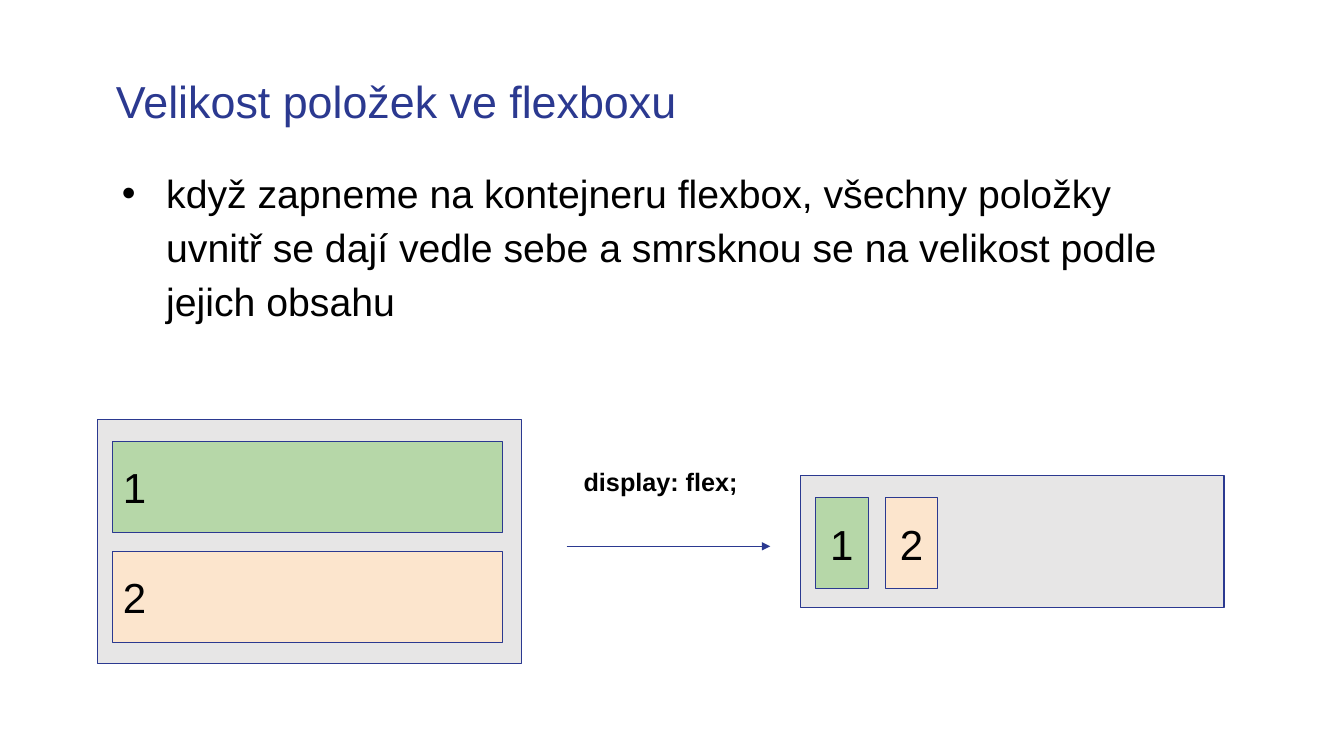
from pptx import Presentation, util as u
from pptx.dml.color import RGBColor
from pptx.enum import shapes, text
from pptx.oxml.ns import qn
from lxml import etree

NAVY = RGBColor(0x2B, 0x39, 0x90)
BLACK = RGBColor(0, 0, 0)
GREY = RGBColor(0xE7, 0xE6, 0xE6)
GREEN = RGBColor(0xB6, 0xD7, 0xA8)
PEACH = RGBColor(0xFC, 0xE5, 0xCD)
ITEMS = (("1", GREEN), ("2", PEACH))
ITEM_HEIGHT = 0.9
ITEM_INSET = (0.15, 0.22)


def write(holder, words, size, color=BLACK, bold=False,
          align=text.PP_ALIGN.LEFT, anchor=text.MSO_ANCHOR.TOP):
    frame = holder.text_frame
    frame.word_wrap = True
    frame.auto_size = text.MSO_AUTO_SIZE.NONE
    frame.vertical_anchor = anchor
    frame.margin_left = frame.margin_right = u.Inches(0.1)
    frame.margin_top = frame.margin_bottom = u.Inches(0.1)
    paragraph = frame.paragraphs[0]
    paragraph.text = words
    paragraph.alignment = align
    font = paragraph.font
    font.name, font.size, font.bold = "Arial", u.Pt(size), bold
    font.color.rgb = color
    return paragraph


def add_box(slide, left, top, width, height, fill):
    box = slide.shapes.add_shape(
        shapes.MSO_SHAPE.FLOWCHART_PROCESS,
        *map(u.Inches, (left, top, width, height)))
    box.shadow.inherit = False
    box.fill.solid()
    box.fill.fore_color.rgb = fill
    box.line.color.rgb = NAVY
    box.line.width = u.Pt(0.75)
    return box


def add_heading(slide, left, top, width, height):
    title = slide.shapes.title
    title.left, title.top = u.Inches(left), u.Inches(top)
    title.width, title.height = u.Inches(width), u.Inches(height)
    heading = write(title, "Velikost položek ve flexboxu", 32, NAVY,
                    anchor=text.MSO_ANCHOR.MIDDLE)
    heading.line_spacing = 0.9


def add_explanation(slide, left, top, width, height):
    body = slide.shapes.add_textbox(*map(u.Inches, (left, top, width, height)))
    point = body.text_frame.paragraphs[0]
    # Hanging bullet
    properties = point._p.get_or_add_pPr()
    properties.set("marL", str(u.Inches(0.5)))
    properties.set("indent", str(u.Inches(-0.44)))
    etree.SubElement(properties, qn("a:buFont")).set("typeface", "Arial")
    etree.SubElement(properties, qn("a:buChar")).set("char", "•")
    write(body, "když zapneme na kontejneru flexbox, všechny položky uvnitř "
          "se dají vedle sebe a smrsknou se na velikost podle jejich obsahu", 28)
    point.line_spacing = 1.15


def add_container(slide, left, top, width, height, item_width, step, align):
    """Draw a container whose items follow one another by step (x, y)."""
    add_box(slide, left, top, width, height, GREY)
    for index, (label, fill) in enumerate(ITEMS):
        item = add_box(slide,
                       left + ITEM_INSET[0] + index * step[0],
                       top + ITEM_INSET[1] + index * step[1],
                       item_width, ITEM_HEIGHT, fill)
        write(item, label, 30, align=align, anchor=text.MSO_ANCHOR.MIDDLE)


def add_transition(slide, left, top, width, height):
    # Arrow along the bottom of the region
    arrow_y = u.Inches(top + height)
    arrow = slide.shapes.add_connector(
        shapes.MSO_CONNECTOR.STRAIGHT,
        u.Inches(left), arrow_y, u.Inches(left + width), arrow_y)
    arrow.line.color.rgb = NAVY
    arrow.line.width = u.Pt(0.75)
    arrow_line = arrow.line._get_or_add_ln()
    etree.SubElement(arrow_line, qn("a:tailEnd")).set("type", "triangle")
    etree.SubElement(arrow._element.spPr, qn("a:effectLst"))

    # CSS declaration above the arrow
    declaration = slide.shapes.add_textbox(
        *map(u.Inches, (left + 0.07, top, width - 0.13, 0.51)))
    write(declaration, "display: flex;", 18, bold=True)


def main():
    deck = Presentation()
    deck.slide_width, deck.slide_height = u.Inches(13.33), u.Inches(7.5)
    slide = deck.slides.add_slide(deck.slide_layouts[5])
    add_heading(slide, 1.05, 0.58, 9.1, 0.9)
    add_explanation(slide, 1.05, 1.51, 11.08, 1.88)
    # Block layout before, flex layout after
    add_container(slide, 0.97, 4.16, 4.2, 2.42, 3.86, (0, 1.09),
                  text.PP_ALIGN.LEFT)
    add_container(slide, 7.94, 4.72, 4.2, 1.31, 0.52, (0.69, 0),
                  text.PP_ALIGN.CENTER)
    add_transition(slide, 5.62, 4.53, 2.02, 0.89)
    deck.save("out.pptx")


if __name__ == "__main__":
    main()
